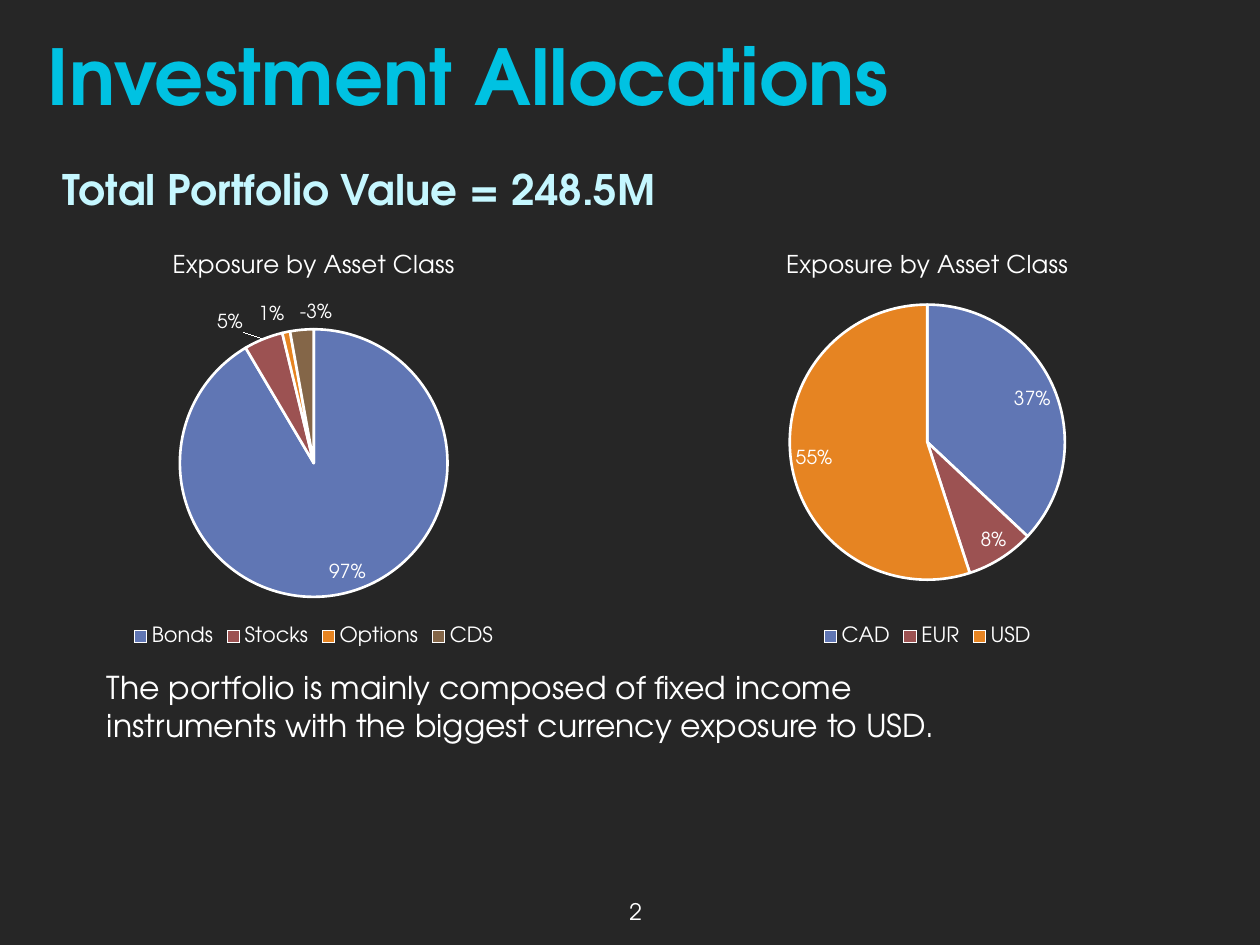
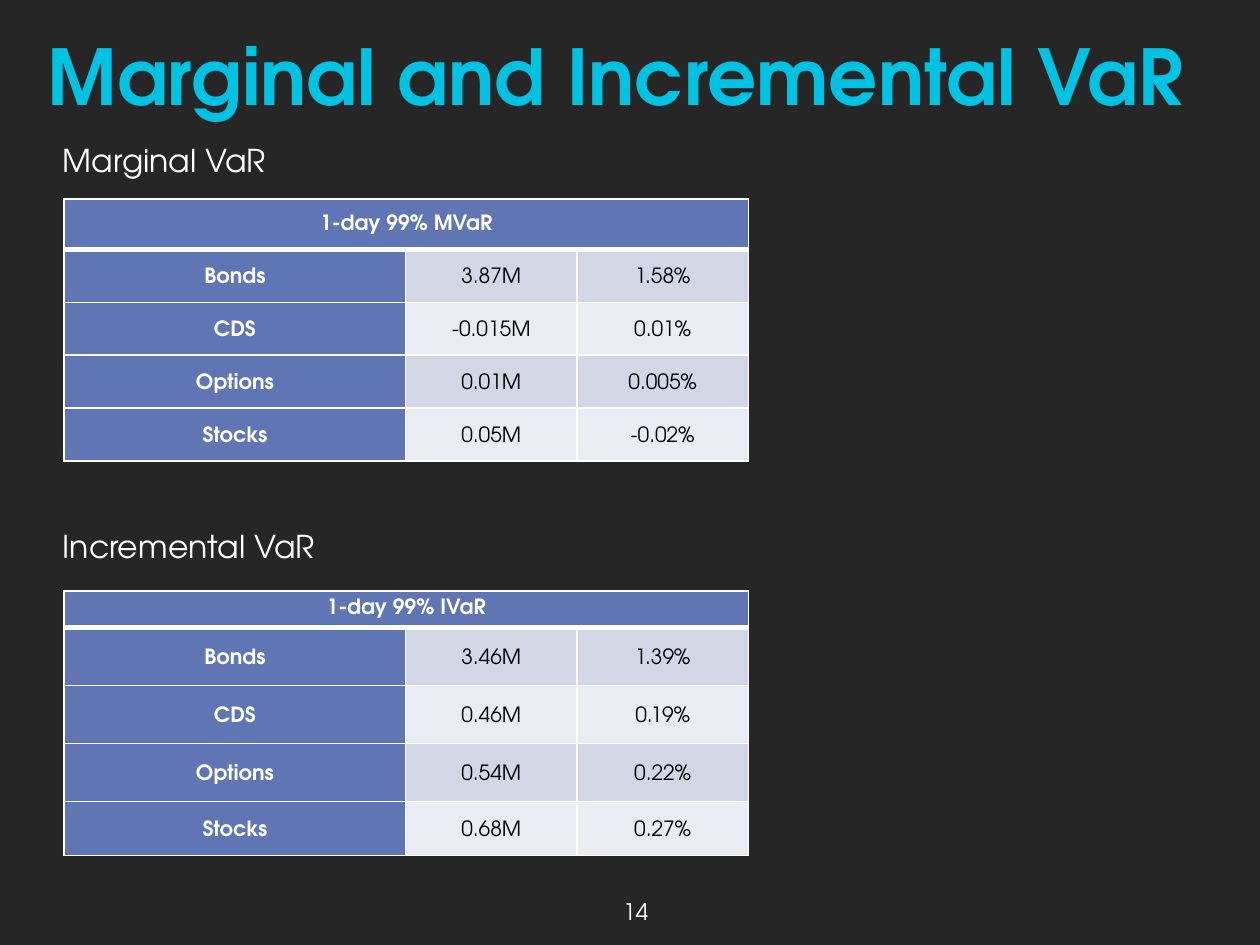
from dataclasses import dataclass

from lxml import etree
from pptx import Presentation
from pptx.chart.data import CategoryChartData
from pptx.dml.color import RGBColor
from pptx.enum.chart import XL_CHART_TYPE, XL_LABEL_POSITION, XL_LEGEND_POSITION
from pptx.enum.text import MSO_ANCHOR, MSO_AUTO_SIZE, PP_ALIGN
from pptx.oxml.ns import qn
from pptx.util import Inches, Pt

PIE = XL_CHART_TYPE.PIE
BEST_FIT = XL_LABEL_POSITION.BEST_FIT
LEGEND_BOTTOM = XL_LEGEND_POSITION.BOTTOM
TOP, MIDDLE = MSO_ANCHOR.TOP, MSO_ANCHOR.MIDDLE
NO_AUTO_SIZE = MSO_AUTO_SIZE.NONE
LEFT, CENTER = PP_ALIGN.LEFT, PP_ALIGN.CENTER
TITLE_ONLY = 5


@dataclass(frozen=True)
class Theme:
    font: str = "TeX Gyre Adventor"
    background: str = "262626"
    title: str = "00C2E2"
    subtitle: str = "C5F7FF"
    light: str = "FFFFFF"
    dark: str = "000000"
    slices: tuple = ("6076B4", "9C5252", "E68422", "846648")
    header: str = "6076B4"
    bands: tuple = ("D2D6E5", "EAECF2")
    title_size: float = 44
    subtitle_size: float = 24
    body_size: float = 18
    chart_title_size: float = 14
    page_number_size: float = 13
    small_size: float = 12
    label_size: float = 11


def set_all(target, values):
    for name, value in values.items():
        setattr(target, name, value)


def inches(*lengths):
    return [Inches(length) for length in lengths]


class DeckBuilder:
    def __init__(self, theme):
        self.theme = theme
        self.deck = Presentation()
        self.deck.slide_width, self.deck.slide_height = inches(10, 7.5)
        self.fill(self.deck.slide_master.background, theme.background)
        self.slide = None

    def fill(self, target, color):
        target.fill.solid()
        target.fill.fore_color.rgb = RGBColor.from_string(color)

    def style(self, font, size, color, bold=False):
        set_all(font, {"name": self.theme.font, "size": Pt(size), "bold": bold})
        font.color.rgb = RGBColor.from_string(color)

    def put_text(self, frame, text, size, color, bold=False, align=LEFT):
        para = frame.paragraphs[0]
        para.alignment = align
        span = para.add_run()
        span.text = text
        self.style(span.font, size, color, bold)
        return para

    def add_slide(self, title, number):
        theme = self.theme
        self.slide = self.deck.slides.add_slide(self.deck.slide_layouts[TITLE_ONLY])
        heading = self.slide.shapes.title
        left, top, width, height = inches(0.28, -0.03, 9.28, 1.25)
        set_all(heading, {"left": left, "top": top, "width": width, "height": height})
        set_all(heading.text_frame, {"vertical_anchor": MIDDLE, "word_wrap": True,
                                     "auto_size": NO_AUTO_SIZE})
        self.put_text(heading.text_frame, title, theme.title_size, theme.title, bold=True)
        self.add_text(str(number), (4, 7.08, 2.09, 0.33), theme.page_number_size,
                      theme.light, align=CENTER)

    def add_text(self, text, place, size, color, bold=False, align=LEFT, anchor=TOP):
        box = self.slide.shapes.add_textbox(*inches(*place))
        set_all(box.text_frame, {"word_wrap": True, "vertical_anchor": anchor})
        self.put_text(box.text_frame, text, size, color, bold, align)

    def add_pie(self, title, place, shares, plot_area):
        """Draw a pie; plot_area gives x, y, w, h as fractions of the chart."""
        theme = self.theme
        data = CategoryChartData(number_format="0%")
        data.categories = list(shares)
        data.add_series("Series 1", list(shares.values()))
        chart = self.slide.shapes.add_chart(PIE, *inches(*place), data).chart
        self.style(chart.font, theme.small_size, theme.light)

        chart.has_title = True
        self.put_text(chart.chart_title.text_frame, title, theme.chart_title_size,
                      theme.light, align=CENTER)
        chart.chart_title.include_in_layout = False

        chart.has_legend = True
        set_all(chart.legend, {"position": LEGEND_BOTTOM, "include_in_layout": False})
        self.style(chart.legend.font, theme.small_size, theme.light)

        plot = chart.plots[0]
        set_all(plot, {"vary_by_categories": True, "has_data_labels": True})
        set_all(plot.data_labels, {
            "show_value": True, "show_percentage": False, "position": BEST_FIT,
            "number_format": "0%", "number_format_is_linked": False})
        self.style(plot.data_labels.font, theme.label_size, theme.light)
        for index, color in enumerate(theme.slices[:len(shares)]):
            slice_format = plot.series[0].points[index].format
            self.fill(slice_format, color)
            slice_format.line.color.rgb = RGBColor.from_string(theme.light)
            slice_format.line.width = Pt(1.5)
        self.place_plot(chart, plot_area)

    def place_plot(self, chart, plot_area):
        area = chart.element.find(".//" + qn("c:plotArea"))
        for old in area.findall(qn("c:layout")):
            area.remove(old)
        layout = etree.Element(qn("c:layout"))
        manual = etree.SubElement(layout, qn("c:manualLayout"))
        settings = [("layoutTarget", "inner"), ("xMode", "edge"), ("yMode", "edge")]
        settings += zip("xywh", plot_area)
        for name, value in settings:
            etree.SubElement(manual, qn("c:" + name), val=str(value))
        area.insert(0, layout)

    def add_borders(self, cell, bottom_width=1):
        properties = cell._tc.get_or_add_tcPr()
        widths = {"lnL": 1, "lnR": 1, "lnT": 1, "lnB": bottom_width}
        for index, (side, width) in enumerate(widths.items()):
            line = etree.Element(qn("a:" + side), w=str(Pt(width)))
            solid = etree.SubElement(line, qn("a:solidFill"))
            etree.SubElement(solid, qn("a:srgbClr"), val=self.theme.light)
            properties.insert(index, line)

    def fill_cell(self, cell, text, color, fill, bold):
        left, right, top, bottom = inches(0.07, 0.07, 0, 0)
        set_all(cell, {"margin_left": left, "margin_right": right, "margin_top": top,
                       "margin_bottom": bottom, "vertical_anchor": MIDDLE})
        self.fill(cell, fill)
        return self.put_text(cell.text_frame, text, self.theme.small_size, color, bold,
                             CENTER)

    def add_risk_table(self, title, place, rows, widths, heights):
        theme = self.theme
        table = self.slide.shapes.add_table(
            len(heights), len(widths), *inches(*place)).table
        for column, width in zip(table.columns, widths):
            column.width = Inches(width)
        for row, height in zip(table.rows, heights):
            row.height = Inches(height)

        header = table.cell(0, 0)
        header.merge(table.cell(0, len(widths) - 1))
        self.fill_cell(header, title, theme.light, theme.header, bold=True)
        for column_index in range(len(widths)):
            self.add_borders(table.cell(0, column_index), bottom_width=3)

        for row_index, row in enumerate(rows, start=1):
            band = theme.bands[(row_index - 1) % 2]
            for column_index, text in enumerate(row):
                is_name = column_index == 0
                cell = table.cell(row_index, column_index)
                para = self.fill_cell(cell, text, theme.light if is_name else theme.dark,
                                      theme.header if is_name else band, is_name)
                para.line_spacing = 1.2
                self.add_borders(cell, bottom_width=1)
                if row_index == 1:
                    top_line = cell._tc.tcPr.find(qn("a:lnT"))
                    top_line.set("w", str(Pt(3)))


def add_allocations(builder):
    theme = builder.theme
    builder.add_slide("Investment Allocations", 2)
    chart_title = "Exposure by Asset Class"
    builder.add_pie(chart_title, (4.76, 1.85, 5.2, 3.32),
                    {"CAD": 0.37, "EUR": 0.08, "USD": 0.55}, (0.29, 0.17, 0.42, 0.66))
    builder.add_pie(chart_title, (-0.51, 1.85, 6, 3.32),
                    {"Bonds": 0.97, "Stocks": 0.05, "Options": 0.01, "CDS": -0.03},
                    (0.32, 0.23, 0.36, 0.64))
    builder.add_text("The portfolio is mainly composed of fixed income instruments "
                     "with the biggest currency exposure to USD.",
                     (0.75, 5.25, 7.09, 0.71), theme.body_size, theme.light)
    builder.add_text("Total Portfolio Value = 248.5M", (0.4, 0.87, 9.28, 1.25),
                     theme.subtitle_size, theme.subtitle, bold=True, anchor=MIDDLE)


def add_value_at_risk(builder):
    theme = builder.theme
    builder.add_slide("Marginal and Incremental VaR", 14)
    for heading, top in (("Marginal VaR", 1.07), ("Incremental VaR", 4.13)):
        builder.add_text(heading, (0.4, top, 2.99, 0.4), theme.body_size, theme.light)
    marginal = [("Bonds", "3.87M", "1.58%"), ("CDS", "-0.015M", "0.01%"),
                ("Options", "0.01M", "0.005%"), ("Stocks", "0.05M", "-0.02%")]
    incremental = [("Bonds", "3.46M", "1.39%"), ("CDS", "0.46M", "0.19%"),
                   ("Options", "0.54M", "0.22%"), ("Stocks", "0.68M", "0.27%")]
    widths = (2.71, 1.36, 1.36)
    builder.add_risk_table("1-day 99% MVaR", (0.51, 1.58, 5.43, 2.09), marginal,
                           widths, (0.4, 0.42, 0.42, 0.42, 0.42))
    builder.add_risk_table("1-day 99% IVaR", (0.51, 4.69, 5.43, 2.09), incremental,
                           widths, (0.29, 0.46, 0.46, 0.46, 0.43))


def main():
    builder = DeckBuilder(Theme())
    add_allocations(builder)
    add_value_at_risk(builder)
    builder.deck.save("out.pptx")


if __name__ == "__main__":
    main()
